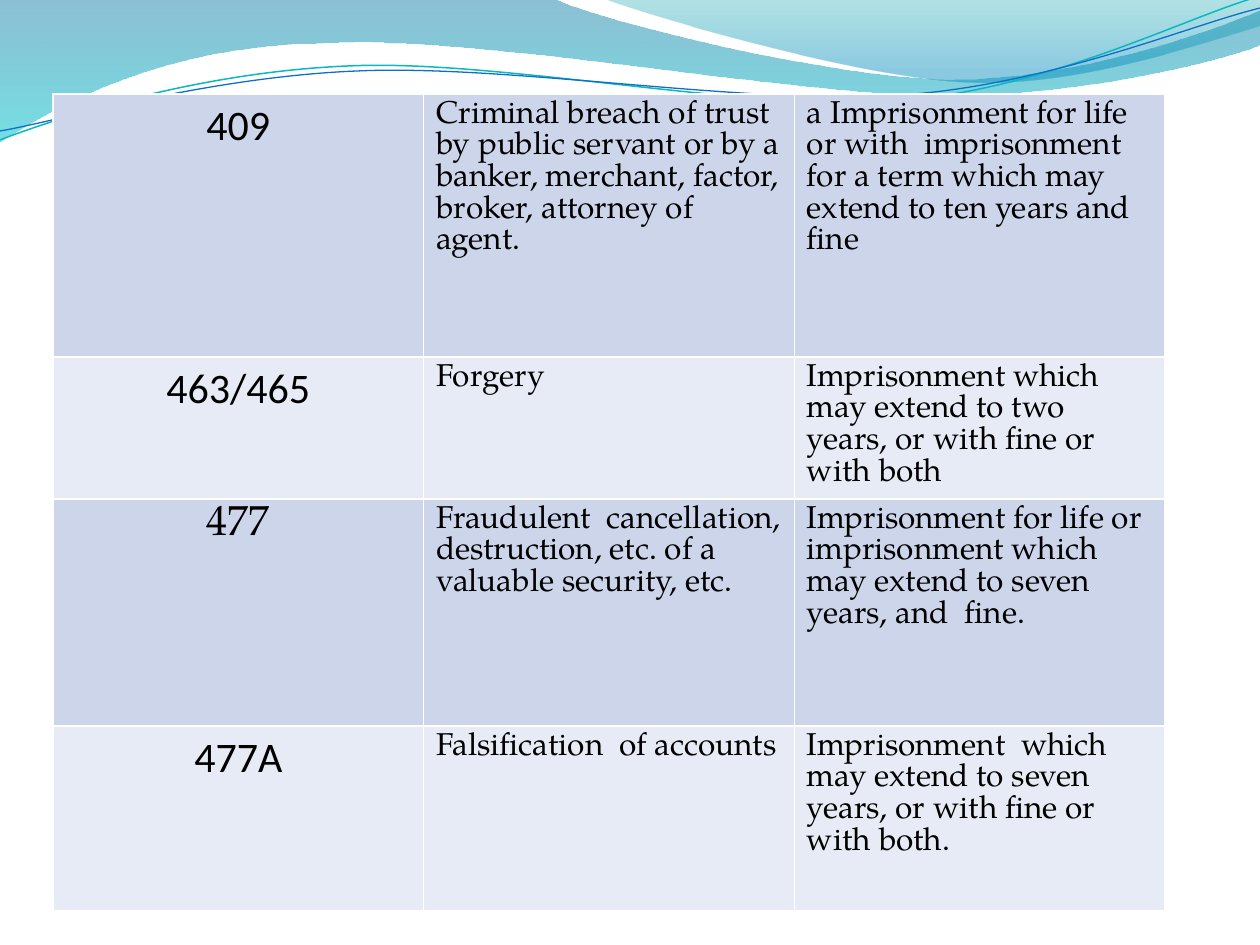
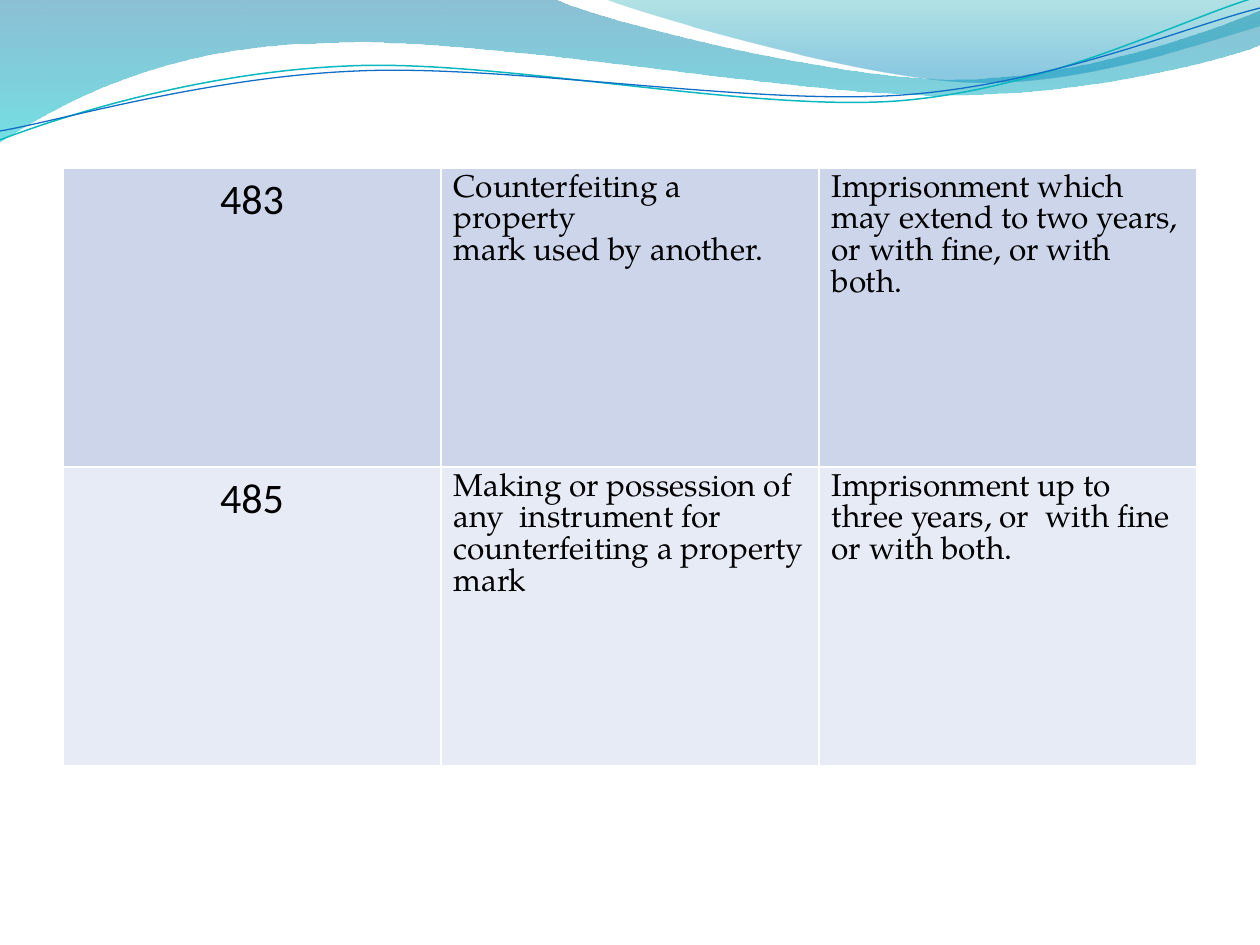
from math import cos, radians, sin

from lxml import etree
from pptx import Presentation
from pptx.dml.color import RGBColor
from pptx.enum.text import PP_ALIGN
from pptx.oxml.ns import qn
from pptx.util import Emu, Pt

CENTER, LEFT = PP_ALIGN.CENTER, PP_ALIGN.LEFT
PX = 914400 / 126
SLIDE_W, SLIDE_H = 1260, 945
BLANK_LAYOUT = 6
BORDER_PT = 1

COLORS = {
    "text": "000000", "border": "FFFFFF",
    "odd row": "CCD5EA", "even row": "E7EBF5",
    "deep blue": "0074A1", "aqua": "00C6CF",
    "teal": "00A1A9", "sky": "008BBF",
    "teal line": "0AB8BF", "blue line": "0F6FC6",
}
SANS, SERIF = "Calibri", "TeX Gyre Pagella"

# Header waves: a pair is a straight step, six numbers are a Bezier curve.
# Gradient stops are (position, colour, opacity in percent).
# A tilted wave turns about its pivot.
WAVES = [
    {"start": (0, 0),
     "steps": [(554, -1), (600, 21, 837, 79, 955, 79), (1075, 79, 1207, 33, 1260, 11),
               (1261, 45), (1238, 55, 1096, 96, 940, 95), (784, 95, 481, 35, 324, 43),
               (163, 45, 58, 105, -1, 142), (0, 0)],
     "gradient": [(0, "deep blue", 45), (1, "aqua", 55)]},
    {"start": (604, -1),
     "steps": [(641, 14, 859, 78, 969, 82), (1079, 87, 1211, 40, 1260, 26),
               (1260, 0), (604, -1)],
     "gradient": [(0, "teal", 30), (0.8, "sky", 45)]},
    {"start": (0, 140),
     "steps": [(60, 117, 199, 72, 349, 66), (498, 59, 747, 112, 898, 101),
               (1049, 89, 1182, 19, 1257, -3)],
     "line": ("teal line", 0.85), "tilt": -2.7, "pivot": (629, 72)},
    {"start": (0, 131),
     "steps": [(59, 121, 207, 77, 357, 71), (508, 64, 752, 106, 903, 95),
               (1053, 84, 1187, 26, 1260, 8)],
     "line": ("blue line", 0.75), "tilt": -2.7, "pivot": (629, 74)},
]

# Each offence: section, description, punishment
PENALTY_SLIDES = [
    {"left": 53, "top": 94, "width": 1112, "rows": [263, 142, 227, 185],
     "offences": [
         ("409",
          "Criminal breach of trust by public servant or by a\n"
          "banker, merchant, factor,\nbroker, attorney of agent.",
          "a Imprisonment for life or with  imprisonment for a term which may  "
          "extend to ten years and fine"),
         ("463/465", "Forgery",
          "Imprisonment which may extend to two years, or with fine or with both"),
         ("477",
          "Fraudulent  cancellation, destruction, etc. of a valuable security, etc.",
          "Imprisonment for life or imprisonment which may extend to seven years, "
          "and  fine."),
         ("477A", "Falsification  of accounts",
          "Imprisonment  which may extend to seven years, or with fine or with both."),
     ]},
    {"left": 63, "top": 168, "width": 1134, "rows": [299, 299],
     "offences": [
         ("483", "Counterfeiting a property\nmark used by another.",
          "Imprisonment which may extend to two years, or with fine, or with both."),
         ("485",
          "Making or possession of any  instrument for counterfeiting a property mark",
          "Imprisonment up to three years, or  with fine or with both."),
     ]},
]
SERIF_SECTIONS = {"477"}


def px(length):
    return Emu(round(length * PX))


def rgb(name):
    return RGBColor.from_string(COLORS[name])


def write(frame, text, size=18, font=SERIF, color="text", align=LEFT):
    frame.text = text
    for paragraph in frame.paragraphs:
        paragraph.alignment = align
        for run in paragraph.runs:
            run.font.size = Pt(size)
            run.font.name = font
            run.font.color.rgb = rgb(color)


def turn(point, pivot, degrees):
    angle = radians(degrees)
    dx, dy = point[0] - pivot[0], point[1] - pivot[1]
    return (pivot[0] + dx * cos(angle) - dy * sin(angle),
            pivot[1] + dx * sin(angle) + dy * cos(angle))


def bend(ribbon, steps):
    """Merge the three line segments of each curved step into one Bezier."""
    segments = iter(list(ribbon.element.iter(qn("a:lnTo"))))
    for step in steps:
        first = next(segments)
        if len(step) == 2:
            continue
        first.tag = qn("a:cubicBezTo")
        for _ in range(2):
            extra = next(segments)
            first.append(extra[0])
            extra.getparent().remove(extra)


def draw_wave(slide, wave):
    points = [wave["start"]]
    for step in wave["steps"]:
        points += zip(step[::2], step[1::2])
    tilt = wave.get("tilt", 0)
    if tilt:
        points = [turn(point, wave["pivot"], -tilt) for point in points]
    points = [(px(x), px(y)) for x, y in points]
    builder = slide.shapes.build_freeform(*points[0])
    builder.add_line_segments(points[1:], close="gradient" in wave)
    ribbon = builder.convert_to_shape()
    bend(ribbon, wave["steps"])
    ribbon.rotation = tilt
    ribbon.shadow.inherit = False
    if "line" in wave:
        color, width = wave["line"]
        ribbon.fill.background()
        ribbon.line.color.rgb = rgb(color)
        ribbon.line.width = Pt(width)
        return ribbon
    ribbon.line.fill.background()
    ribbon.fill.gradient()
    ribbon.fill.gradient_angle = 270
    for stop, (position, color, _) in zip(ribbon.fill.gradient_stops, wave["gradient"]):
        stop.position = position
        stop.color.rgb = rgb(color)
    tints = ribbon.element.spPr.iter(qn("a:srgbClr"))
    for tint, (_, _, opacity) in zip(list(tints), wave["gradient"]):
        etree.SubElement(tint, qn("a:alpha"), val=str(opacity * 1000))
    return ribbon


def add_borders(cell):
    properties = cell._tc.get_or_add_tcPr()
    for i, side in enumerate(("a:lnL", "a:lnR", "a:lnT", "a:lnB")):
        border = etree.Element(qn(side), w=str(Pt(BORDER_PT)))
        fill = etree.SubElement(border, qn("a:solidFill"))
        etree.SubElement(fill, qn("a:srgbClr"), val=COLORS["border"])
        properties.insert(i, border)


def add_penalties(slide, content):
    offences, heights = content["offences"], content["rows"]
    columns = len(offences[0])
    penalties = slide.shapes.add_table(
        len(offences), columns, px(content["left"]), px(content["top"]),
        px(content["width"]), px(sum(heights))).table
    penalties.first_row = penalties.horz_banding = False
    for column in penalties.columns:
        column.width = px(content["width"] / columns)
    for r, (offence, height) in enumerate(zip(offences, heights)):
        penalties.rows[r].height = px(height)
        for c, text in enumerate(offence):
            cell = penalties.cell(r, c)
            cell.fill.solid()
            cell.fill.fore_color.rgb = rgb("even row" if r % 2 else "odd row")
            add_borders(cell)
            if c == 0:
                font = SERIF if text in SERIF_SECTIONS else SANS
                write(cell.text_frame, text, size=24, font=font, align=CENTER)
            else:
                write(cell.text_frame, text)


def main():
    deck = Presentation()
    deck.slide_width, deck.slide_height = px(SLIDE_W), px(SLIDE_H)
    layout = deck.slide_layouts[BLANK_LAYOUT]
    for footer in list(layout.placeholders):
        layout.shapes.element.remove(footer.element)
    slides = [deck.slides.add_slide(layout) for _ in PENALTY_SLIDES]

    # Shared header waves live on the layout
    for wave in WAVES:
        layout.shapes.element.append(draw_wave(slides[0], wave).element)

    # Penalty tables
    for slide, content in zip(slides, PENALTY_SLIDES):
        add_penalties(slide, content)
    deck.save("out.pptx")


if __name__ == "__main__":
    main()
